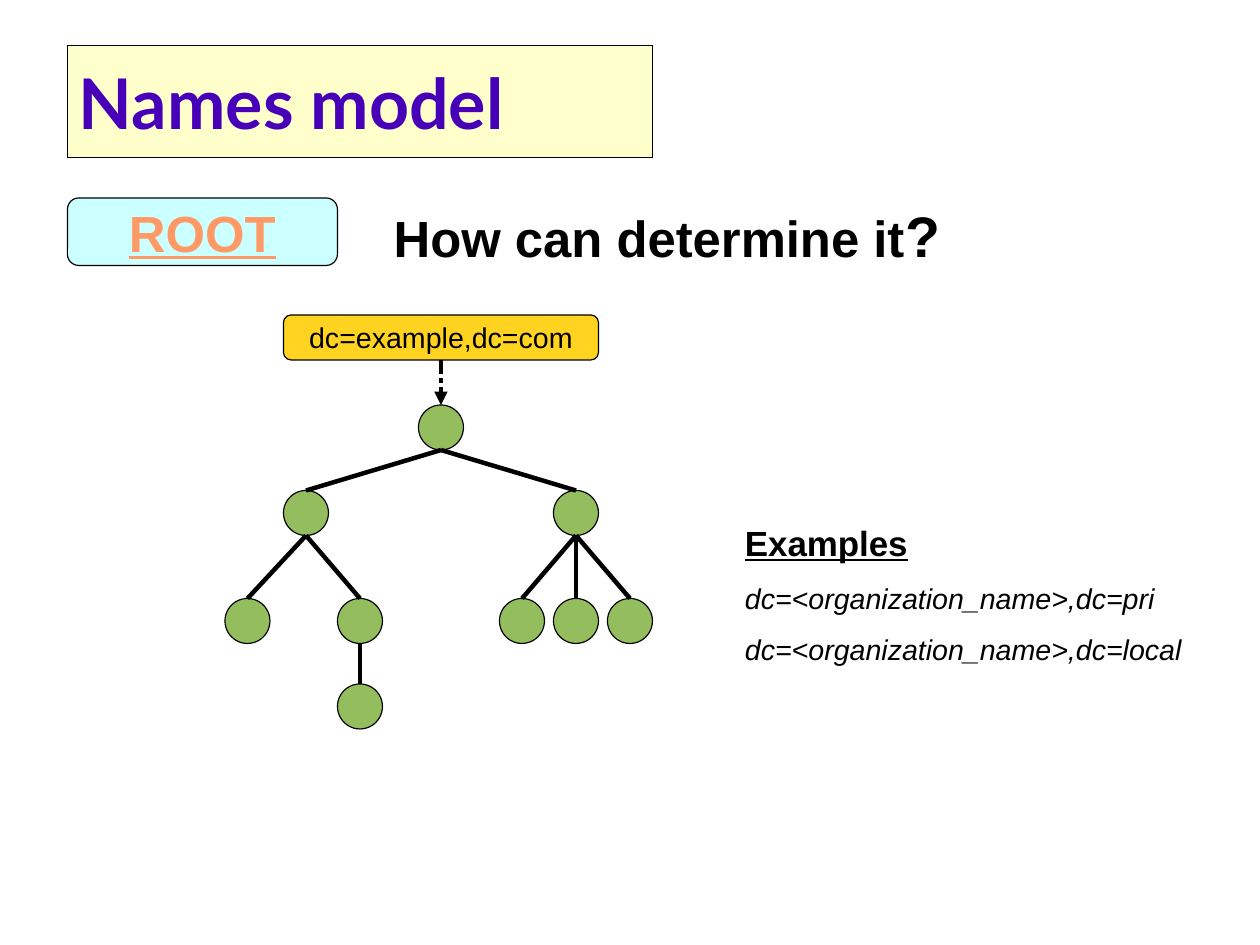
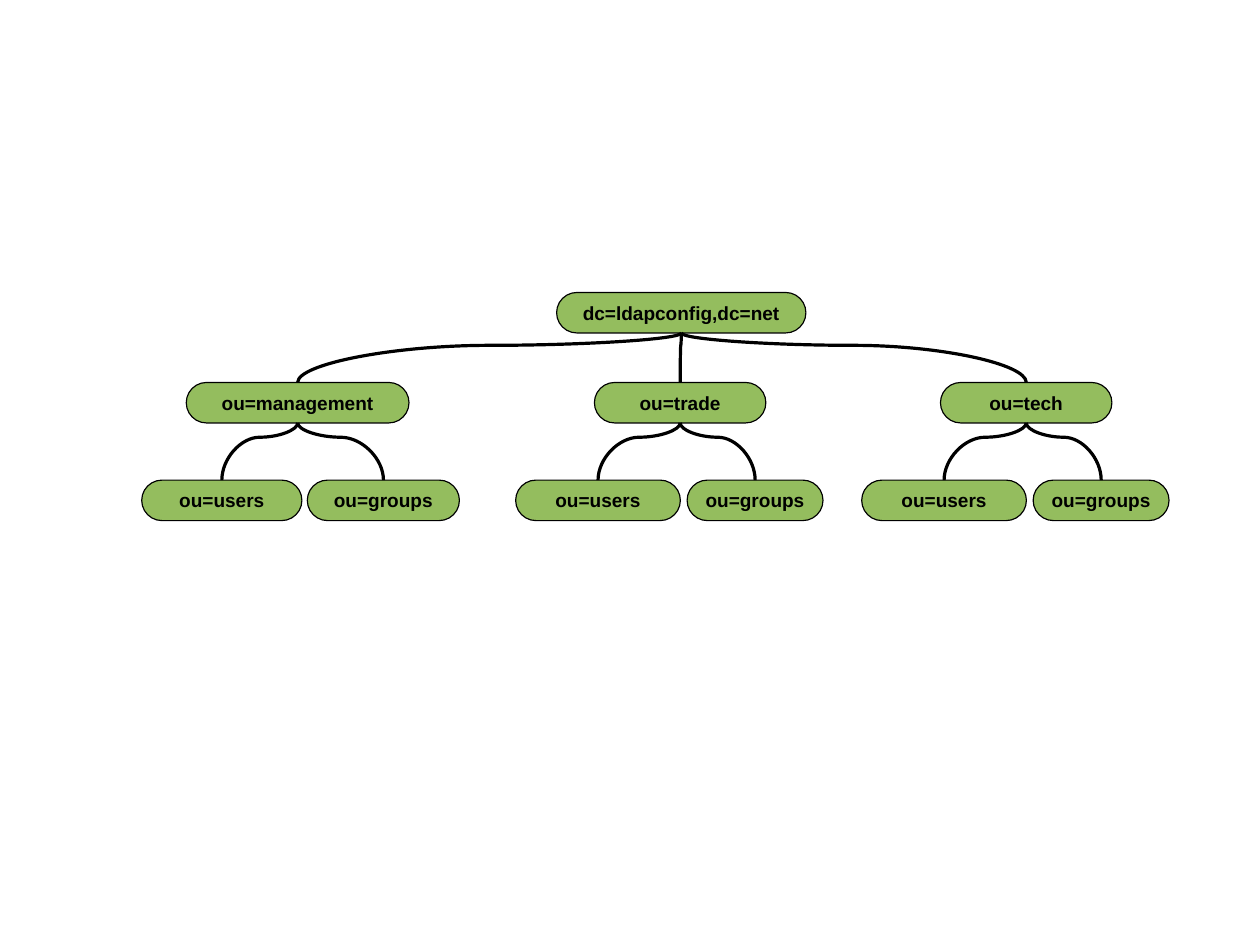
from dataclasses import dataclass

from lxml.etree import SubElement
from pptx import Presentation
from pptx.dml.color import RGBColor
from pptx.enum.shapes import MSO_CONNECTOR as Link, MSO_SHAPE as Preset
from pptx.enum.text import MSO_ANCHOR, MSO_AUTO_SIZE, PP_ALIGN as Align
from pptx.oxml.ns import qn
from pptx.util import Cm, Pt

# The slide is a grid of one-centimetre cells.
COLUMNS, ROWS = 28, 21
BLACK = RGBColor(0x00, 0x00, 0x00)
GREEN = RGBColor(0x94, 0xBD, 0x5E)
CREAM = RGBColor(0xFF, 0xFF, 0xCC)
CYAN = RGBColor(0xCC, 0xFF, 0xFF)
GOLD = RGBColor(0xFF, 0xD3, 0x20)
ORANGE = RGBColor(0xFF, 0x99, 0x66)
VIOLET = RGBColor(0x47, 0x00, 0xB8)
BODY_FONT, TITLE_FONT = "Arial", "Lato"
HAIRLINE, THICK = Pt(0), Pt(2.83)
TOP_SITE, BOTTOM_SITE = 0, 2


@dataclass(frozen=True)
class Box:
    """A rectangle in grid columns and rows."""
    left: float
    top: float
    width: float
    height: float

    @property
    def centre(self) -> float:
        return self.left + self.width / 2

    @property
    def bottom(self) -> float:
        return self.top + self.height

    def lengths(self) -> tuple:
        return tuple(Cm(n) for n in (self.left, self.top, self.width, self.height))


@dataclass(frozen=True)
class Node:
    """A circle of the name tree and the key of its parent."""
    left: float
    top: float
    parent: str = ""

    @property
    def box(self) -> Box:
        return Box(self.left, self.top, 1, 1)


@dataclass(frozen=True)
class Entry:
    """A directory entry: its label, left column and width in columns."""
    label: str
    left: float
    width: float
    children: tuple = ()


NAME_TREE = {
    "root": Node(9.3, 9),
    "left": Node(6.3, 10.9, "root"),
    "right": Node(12.3, 10.9, "root"),
    "left leaf": Node(5, 13.3, "left"),
    "left stem": Node(7.5, 13.3, "left"),
    "last leaf": Node(7.5, 15.2, "left stem"),
    **{f"right leaf {i}": Node(11.1 + 1.2 * i, 13.3, "right") for i in range(3)},
}


def unit(name: str, left: float) -> Entry:
    """A narrow department with its users and groups."""
    return Entry(name, left, 3.81, (
        Entry("ou=users", left - 1.75, 3.66),
        Entry("ou=groups", left + 2.06, 3.02)))


DIRECTORY = Entry("dc=ldapconfig,dc=net", 12.37, 5.54, (
    Entry("ou=management", 4.14, 4.95, (
        Entry("ou=users", 3.15, 3.56),
        Entry("ou=groups", 6.83, 3.38))),
    unit("ou=trade", 13.21),
    unit("ou=tech", 20.9)))
LEVEL_TOPS = (6.5, 8.5, 10.67)
ENTRY_HEIGHT = 0.9


def write(frame, text: str, *, size: float, colour=BLACK, font=BODY_FONT, bold=False,
          italic=False, underline=False, align=Align.LEFT, spacing=1.0, same_line=False):
    """Add text as a new paragraph, or at the end of the last one."""
    paragraph = frame.paragraphs[-1]
    if paragraph.runs and not same_line:
        paragraph = frame.add_paragraph()
    paragraph.alignment = align
    paragraph.line_spacing = spacing
    paragraph.space_before = Pt(0)
    run = paragraph.add_run()
    run.text = text
    style = run.font
    style.name, style.size = font, Pt(size)
    style.bold, style.italic, style.underline = bold, italic, underline
    style.color.rgb = colour
    return paragraph


def paint(shape, fill: RGBColor) -> None:
    shape.fill.solid()
    shape.fill.fore_color.rgb = fill
    shape.line.color.rgb = BLACK
    shape.line.width = HAIRLINE


def add_shape(slide, preset, box: Box, fill: RGBColor, corner: float | None = None):
    shape = slide.shapes.add_shape(preset, *box.lengths())
    shape.shadow.inherit = False
    paint(shape, fill)
    if corner is not None:
        shape.adjustments[0] = corner
    return shape


def add_label(slide, box: Box, text: str, fill: RGBColor, corner=0.167, **style):
    label = add_shape(slide, Preset.ROUNDED_RECTANGLE, box, fill, corner)
    label.text_frame.word_wrap = True
    write(label.text_frame, text, align=Align.CENTER, **style)
    return label


def place(placeholder, box: Box, anchor):
    """Move a placeholder and return its text frame."""
    placeholder.left, placeholder.top, placeholder.width, placeholder.height = box.lengths()
    frame = placeholder.text_frame
    frame.word_wrap = True
    frame.auto_size = MSO_AUTO_SIZE.NONE
    frame.vertical_anchor = anchor
    return frame


def add_link(slide, kind, upper: Box, lower: Box, width):
    """Run a connector from the bottom of one box to the top of another."""
    link = slide.shapes.add_connector(
        kind, Cm(upper.centre), Cm(upper.bottom), Cm(lower.centre), Cm(lower.top))
    link.line.color.rgb = BLACK
    link.line.width = width
    SubElement(link._element.spPr, qn("a:effectLst"))
    return link


def make_dashed_arrow(link) -> None:
    line = link.line._get_or_add_ln()
    SubElement(line, qn("a:prstDash"), val="sysDashDotDot")
    SubElement(line, qn("a:tailEnd"), type="triangle")


def add_curve(slide, upper: Box, lower: Box, upper_shape, lower_shape) -> None:
    """Glue a curve to two entries, leaving and arriving vertically."""
    link = add_link(slide, Link.CURVE, upper, lower, HAIRLINE)
    link.begin_connect(upper_shape, BOTTOM_SITE)
    link.end_connect(lower_shape, TOP_SITE)
    drop, shift = lower.top - upper.bottom, lower.centre - upper.centre
    frame = link._element.spPr.find(qn("a:xfrm"))
    for flip in ("flipH", "flipV"):
        frame.attrib.pop(flip, None)
    link.left = Cm((upper.centre + lower.centre - drop) / 2)
    link.top = Cm((upper.bottom + lower.top - abs(shift)) / 2)
    link.width, link.height = Cm(drop), Cm(abs(shift))
    frame.set("rot", str((270 if shift > 0 else 90) * 60000))
    if shift > 0:
        frame.set("flipH", "1")
    guides = link._element.spPr.find(qn("a:prstGeom")).get_or_add_avLst()
    SubElement(guides, qn("a:gd"), name="adj1", fmla="val 25000")


def add_entry(slide, entry: Entry, level: int = 0) -> tuple:
    """Draw an entry, everything below it and the curves between."""
    box = Box(entry.left, LEVEL_TOPS[level], entry.width, ENTRY_HEIGHT)
    pill = add_label(slide, box, entry.label, GREEN, corner=0.5, size=12, bold=True)
    for child in entry.children:
        child_box, child_pill = add_entry(slide, child, level + 1)
        add_curve(slide, box, child_box, pill, child_pill)
    return box, pill


def build_names_model(deck) -> None:
    slide = deck.slides.add_slide(deck.slide_layouts[1])
    title, examples = slide.placeholders
    paint(title, CREAM)
    heading = place(title, Box(1.5, 1, 13, 2.5), MSO_ANCHOR.MIDDLE)
    write(heading, "Names model", size=44, colour=VIOLET, font=TITLE_FONT, bold=True)

    add_label(slide, Box(1.5, 4.4, 6, 1.5), "ROOT", CYAN,
              size=32, colour=ORANGE, bold=True, underline=True)
    question = slide.shapes.add_textbox(*Box(8.5, 4.32, 13, 1.68).lengths()).text_frame
    question.word_wrap = True
    write(question, "How can determine it", size=32, bold=True)
    write(question, "?", size=36, bold=True, same_line=True)

    for node in NAME_TREE.values():
        add_shape(slide, Preset.OVAL, node.box, GREEN)
    for node in NAME_TREE.values():
        if node.parent:
            add_link(slide, Link.STRAIGHT, NAME_TREE[node.parent].box, node.box, THICK)
    suffix = Box(6.3, 7, 7, 1)
    add_label(slide, suffix, "dc=example,dc=com", GOLD, size=18)
    make_dashed_arrow(add_link(slide, Link.STRAIGHT, suffix, NAME_TREE["root"].box, THICK))

    listing = place(examples, Box(16.3, 11, 11, 3.68), MSO_ANCHOR.TOP)
    write(listing, "Examples", size=22, bold=True, underline=True, spacing=1.5)
    for ending in ("pri", "local"):
        write(listing, f"dc=<organization_name>,dc={ending}",
              size=18, italic=True, spacing=1.5)
    for paragraph in listing.paragraphs:
        properties = paragraph._p.get_or_add_pPr()
        properties.set("marL", "0")
        properties.set("indent", "0")
        SubElement(properties, qn("a:buNone"))


def build_directory(deck) -> None:
    add_entry(deck.slides.add_slide(deck.slide_layouts[6]), DIRECTORY)


def main() -> None:
    deck = Presentation()
    deck.slide_width, deck.slide_height = Cm(COLUMNS), Cm(ROWS)
    build_names_model(deck)
    build_directory(deck)
    deck.save("out.pptx")


if __name__ == "__main__":
    main()
